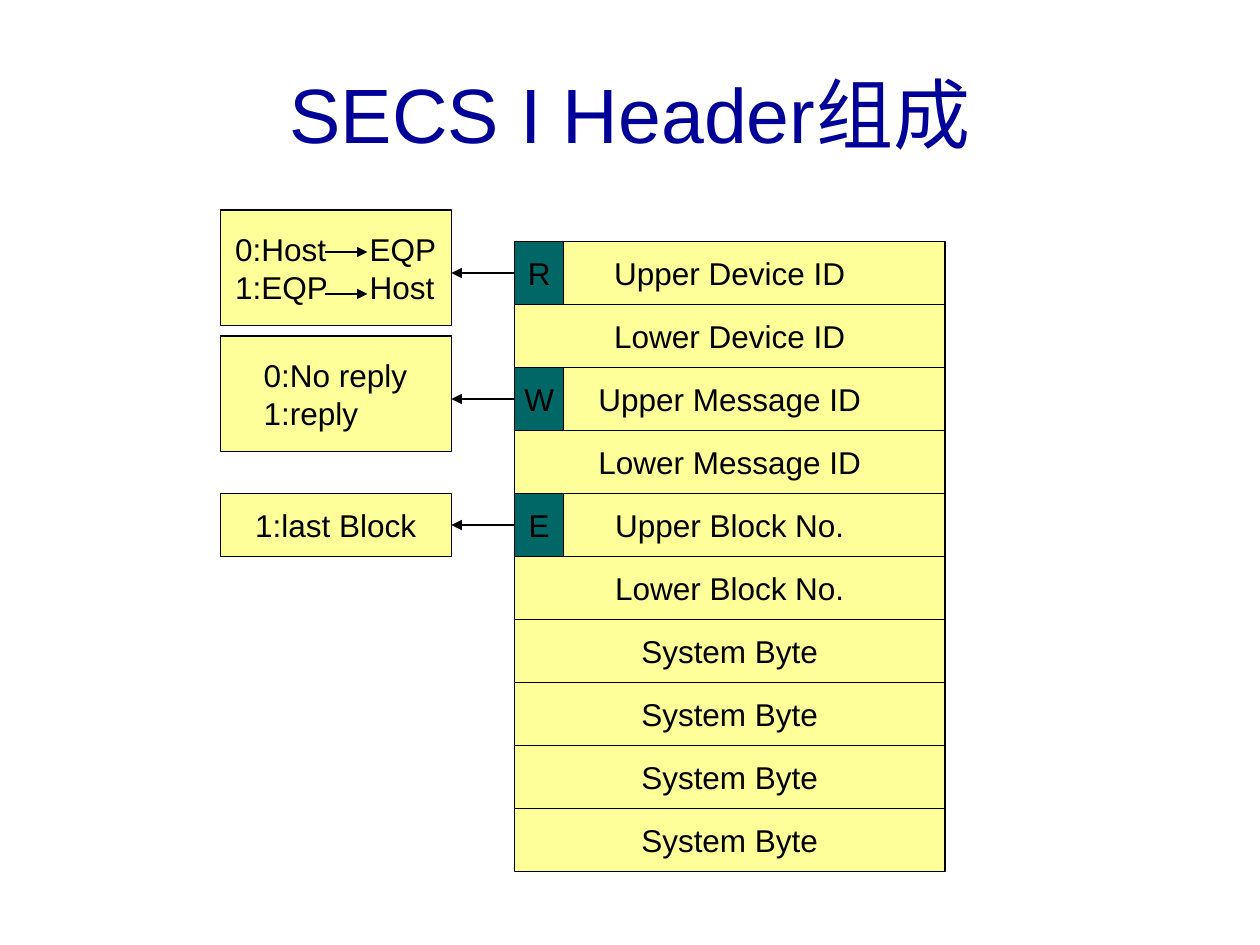
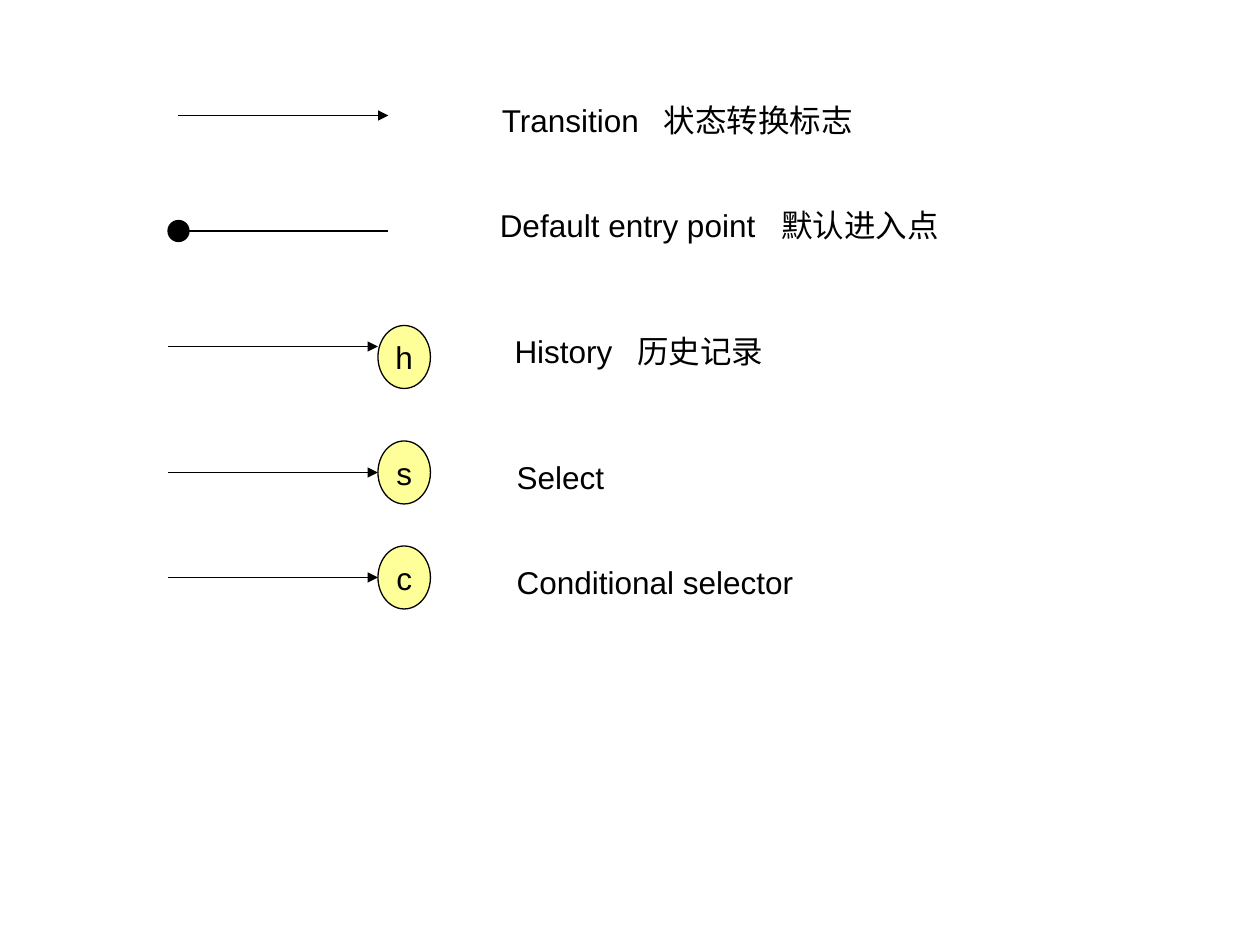
from dataclasses import dataclass

from pptx import Presentation
from pptx.dml.color import RGBColor
from pptx.enum.shapes import MSO_CONNECTOR, MSO_SHAPE
from pptx.enum.text import MSO_ANCHOR, PP_ALIGN
from pptx.oxml.ns import qn
from pptx.oxml.xmlchemy import OxmlElement
from pptx.util import Inches, Pt

SCALE = Inches(1) // 120  # EMU in one px


@dataclass(frozen=True)
class Theme:
    font: str = "Arial"
    title: str = "000099"
    ink: str = "000000"
    cell: str = "FFFF99"
    flag: str = "006666"
    head: int = 44
    body: int = 18
    rule: float = 0.75


THEME = Theme()

TITLE = "SECS I Header组成"
FIELDS = [
    "Upper Device ID", "Lower Device ID",
    "Upper Message ID", "Lower Message ID",
    "Upper Block No.", "Lower Block No.",
    "System Byte", "System Byte", "System Byte", "System Byte",
]
# row, flag, note lines, note top, note height, text indent
FLAGS = [
    (0, "R", ["0:Host\tEQP", "1:EQP\tHost"], 200, 110, 14),
    (2, "W", ["0:No reply", "1:reply"], 320, 110, 41),
    (4, "E", ["1:last Block"], 470, 60, 33),
]
TABLE = dict(x=490, y=230, w=410, row=60, flag=47)
NOTE = dict(x=210, w=220, tab=128)
WAYS = dict(x=310, end=350, tops=(240, 280))

# label, text left, text top, tab stop
LABELS = [
    ("Transition\t状态转换标志", 478, 90, 154),
    ("Default entry point\t默认进入点", 476, 190, 268),
    ("History\t历史记录", 490, 310, 117),
    ("Select", 492, 430, None),
    ("Conditional selector", 492, 530, None),
]
# letter, arrow height, circle top
STATES = [("h", 330, 310), ("s", 450, 420), ("c", 550, 520)]


def px(*sizes):
    return [size * SCALE for size in sizes]


def put(frame, lines, size=THEME.body, color=THEME.ink, tab=None, **form):
    """Fill a text frame; form holds text frame settings, align included."""
    align = form.pop("align", PP_ALIGN.CENTER)
    for name, value in form.items():
        setattr(frame, name, value)
    frame.text = "\n".join(lines)
    for para in frame.paragraphs:
        para.alignment = align
        font = para.runs[0].font
        look = {"name": THEME.font, "size": Pt(size)}
        for name, value in look.items():
            setattr(font, name, value)
        font.color.rgb = RGBColor.from_string(color)
        if tab:
            stops = OxmlElement("a:tabLst")
            stop = OxmlElement("a:tab")
            stop.set("pos", str(tab * SCALE))
            stop.set("algn", "l")
            stops.append(stop)
            para._p.get_or_add_pPr().append(stops)


def ink(line):
    line.color.rgb = RGBColor.from_string(THEME.ink)
    line.width = Pt(THEME.rule)


def shape(slide, kind, box, fill, lines=(), **form):
    item = slide.shapes.add_shape(kind, *px(*box))
    item.shadow.inherit = False
    item.fill.solid()
    item.fill.fore_color.rgb = RGBColor.from_string(fill)
    ink(item.line)
    if lines:
        form = {"word_wrap": False, "vertical_anchor": MSO_ANCHOR.MIDDLE, **form}
        put(item.text_frame, lines, **form)


def rule(slide, start, end, y, arrow=True):
    """Draw a level line, with an arrowhead at its end if asked."""
    item = slide.shapes.add_connector(MSO_CONNECTOR.STRAIGHT, *px(start, y, end, y))
    ink(item.line)
    props = item._element.spPr
    if arrow:
        tip = OxmlElement("a:tailEnd")
        tip.set("type", "triangle")
        props.find(qn("a:ln")).append(tip)
    props.append(OxmlElement("a:effectLst"))


def text(slide, box, lines, **form):
    frame = slide.shapes.add_textbox(*px(*box)).text_frame
    put(frame, lines, word_wrap=True, **form)


def header(slide):
    text(slide, (40, 50, 1120, 115), [TITLE], size=THEME.head,
         color=THEME.title, vertical_anchor=MSO_ANCHOR.MIDDLE)
    left, top, wide, row, slot = TABLE.values()
    for i, field in enumerate(FIELDS):
        shape(slide, MSO_SHAPE.RECTANGLE, (left, top + i * row, wide, row),
              THEME.cell, [field])
    for i, flag, lines, y, high, indent in FLAGS:
        level = top + i * row
        shape(slide, MSO_SHAPE.RECTANGLE, (left, level, slot, row),
              THEME.flag, [flag])
        shape(slide, MSO_SHAPE.RECTANGLE, (NOTE["x"], y, NOTE["w"], high),
              THEME.cell, lines, tab=NOTE["tab"], align=PP_ALIGN.LEFT,
              word_wrap=True, margin_left=indent * SCALE, margin_right=0)
        rule(slide, left, NOTE["x"] + NOTE["w"], level + row // 2)
    for y in WAYS["tops"]:
        rule(slide, WAYS["x"], WAYS["end"], y)


def legend(slide):
    rule(slide, 170, 370, 110)
    shape(slide, MSO_SHAPE.FLOWCHART_CONNECTOR, (160, 210, 20, 20), THEME.ink)
    rule(slide, 180, 370, 220, arrow=False)
    for letter, y, top in STATES:
        rule(slide, 160, 360, y)
        shape(slide, MSO_SHAPE.OVAL, (360, top, 50, 60), THEME.cell, [letter])
    for label, x, y, tab in LABELS:
        text(slide, (x, y, 560, 48), [label], tab=tab,
             align=PP_ALIGN.LEFT, margin_left=0)


def main():
    deck = Presentation()
    deck.slide_width, deck.slide_height = px(1200, 900)
    for draw in (header, legend):
        draw(deck.slides.add_slide(deck.slide_layouts[6]))
    deck.save("out.pptx")


if __name__ == "__main__":
    main()
